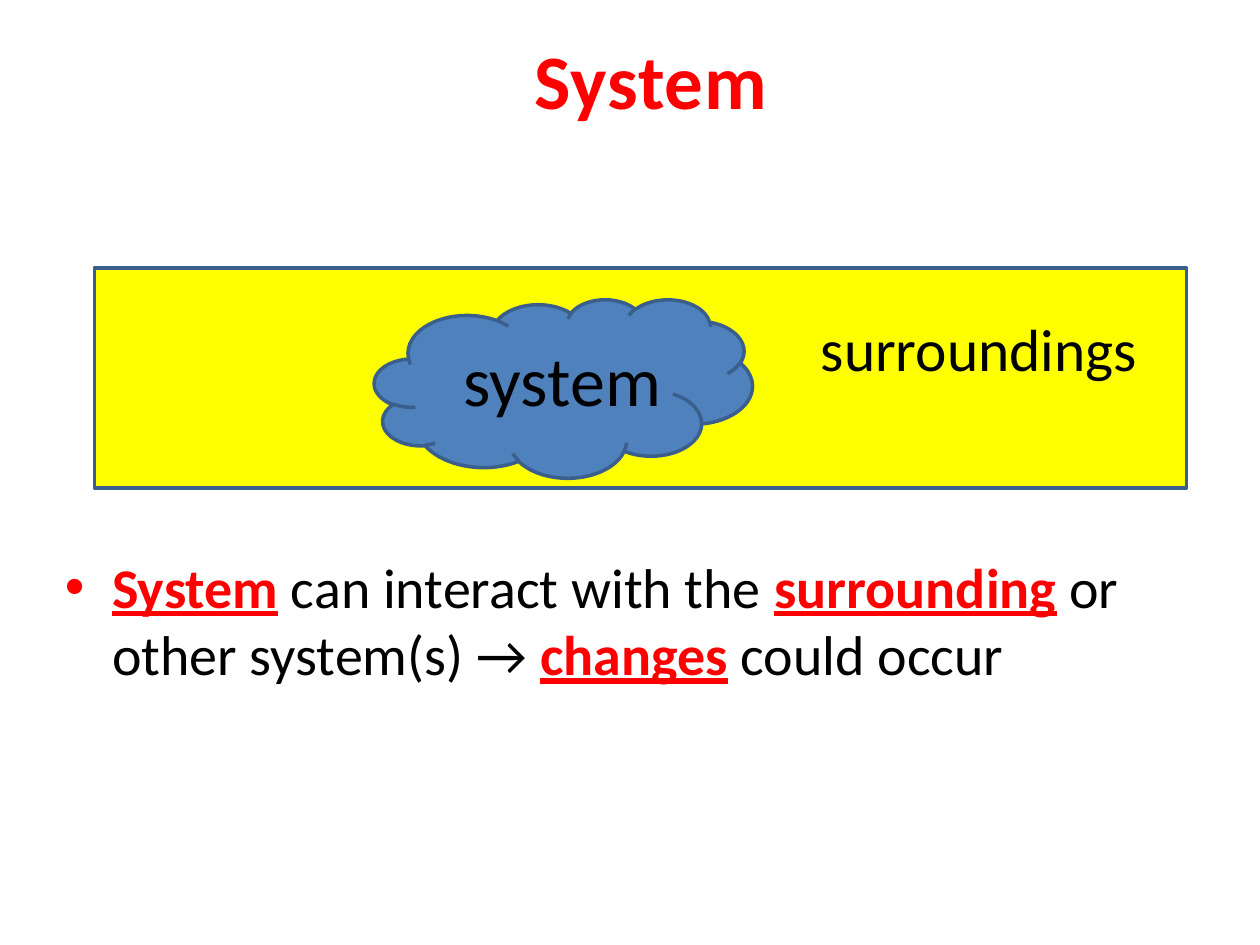
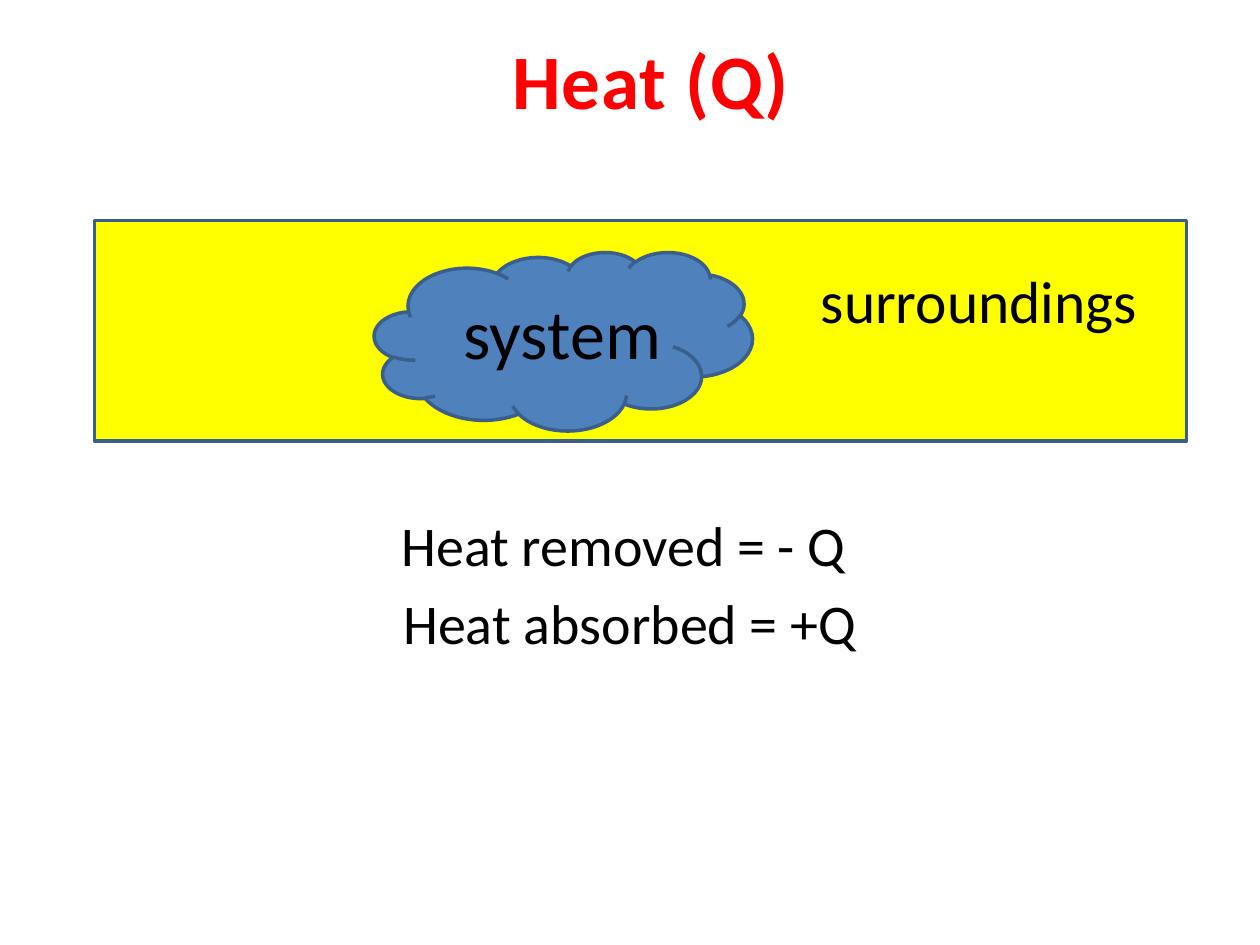
from dataclasses import dataclass
from typing import Any

from lxml import etree
from pptx import Presentation
from pptx.dml.color import RGBColor
from pptx.enum.shapes import MSO_SHAPE
from pptx.enum.text import MSO_ANCHOR, PP_ALIGN
from pptx.oxml.ns import qn
from pptx.util import Pt

RED = RGBColor(0xFF, 0x00, 0x00)
BLACK = RGBColor(0x00, 0x00, 0x00)
YELLOW = RGBColor(0xFF, 0xFF, 0x00)
BLUE = RGBColor(0x4F, 0x81, 0xBD)
NAVY = RGBColor(0x3A, 0x5F, 0x8C)
RECT, CLOUD = MSO_SHAPE.RECTANGLE, MSO_SHAPE.CLOUD
LEFT, CENTER = PP_ALIGN.LEFT, PP_ALIGN.CENTER
TOP, MIDDLE = MSO_ANCHOR.TOP, MSO_ANCHOR.MIDDLE
FONT = "Calibri"
INDENT = 27


@dataclass(frozen=True)
class Box:
    left: float
    top: float
    width: float
    height: float

    def down(self, step: float) -> "Box":
        return Box(self.left, self.top + step, self.width, self.height)

    def points(self) -> list[Pt]:
        return [Pt(v) for v in (self.left, self.top, self.width, self.height)]


@dataclass(frozen=True)
class Run:
    text: str
    key: bool = False


@dataclass(frozen=True)
class Page:
    title: str
    scene: float
    body: Box
    lines: list[list[Run]]
    align: PP_ALIGN = LEFT
    bullet: bool = False


TITLE = Box(48, 0, 648, 90)
FIELD = Box(54, 0, 624, 126)
SHAPE = Box(214, 18, 216, 102)
INNER = Box(258, 36, 131, 55)
OUTER = Box(462, 21.5, 210, 42.5)

PAGES = [
    Page(
        "System", 153, Box(30, 312, 648, 102),
        [[
            Run("System", True), Run(" can interact with the "),
            Run("surrounding", True), Run(" or other system(s) → "),
            Run("changes", True), Run(" could occur"),
        ]],
        bullet=True,
    ),
    Page(
        "Heat (Q)", 126, Box(36, 288, 648, 114),
        [[Run("Heat removed = - Q ")], [Run("Heat absorbed = +Q")]],
        align=CENTER,
    ),
]


def add_bullet(para: Any) -> None:
    props = para._p.get_or_add_pPr()
    props.set("marL", str(Pt(INDENT)))
    props.set("indent", str(-Pt(INDENT)))
    etree.SubElement(props, qn("a:buFont")).set("typeface", "Arial")
    etree.SubElement(props, qn("a:buChar")).set("char", "•")


def add_text(slide: Any, box: Box, lines: list[list[Run]], *, size: float,
             color: RGBColor = BLACK, bold: bool = False,
             align: PP_ALIGN = LEFT, anchor: MSO_ANCHOR = TOP,
             bullet: bool = False, track: float = 0) -> None:
    frame = slide.shapes.add_textbox(*box.points()).text_frame
    frame.word_wrap = True
    frame.vertical_anchor = anchor
    for index, line in enumerate(lines):
        para = frame.add_paragraph() if index else frame.paragraphs[0]
        para.alignment = align
        if index:
            para.space_before = Pt(size * 0.2)
        if bullet:
            add_bullet(para)
        for part in line:
            run = para.add_run()
            run.text = part.text
            font = run.font
            font.name, font.size = FONT, Pt(size)
            font.bold = bold or part.key
            font.underline = part.key
            font.color.rgb = RED if part.key else color
            if track:
                run._r.get_or_add_rPr().set("spc", str(int(track * 100)))


def add_shape(slide: Any, kind: MSO_SHAPE, box: Box, fill: RGBColor) -> None:
    shape = slide.shapes.add_shape(kind, *box.points())
    shape.shadow.inherit = False
    shape.fill.solid()
    shape.fill.fore_color.rgb = fill
    shape.line.color.rgb = NAVY
    shape.line.width = Pt(2)


def add_scene(slide: Any, top: float) -> None:
    add_shape(slide, RECT, FIELD.down(top), YELLOW)
    add_shape(slide, CLOUD, SHAPE.down(top), BLUE)
    add_text(slide, INNER.down(top), [[Run("system")]], size=40)
    add_text(slide, OUTER.down(top), [[Run("surroundings")]], size=34)


def add_page(deck: Any, page: Page) -> None:
    slide = deck.slides.add_slide(deck.slide_layouts[6])
    add_text(slide, TITLE, [[Run(page.title)]], size=44, color=RED, bold=True,
             align=CENTER, anchor=MIDDLE, track=0.5)
    add_text(slide, page.body, page.lines, size=32, align=page.align,
             bullet=page.bullet)
    add_scene(slide, page.scene)


def main() -> None:
    deck = Presentation()
    deck.slide_width, deck.slide_height = Pt(720), Pt(540)
    for page in PAGES:
        add_page(deck, page)
    deck.save("out.pptx")


if __name__ == "__main__":
    main()
